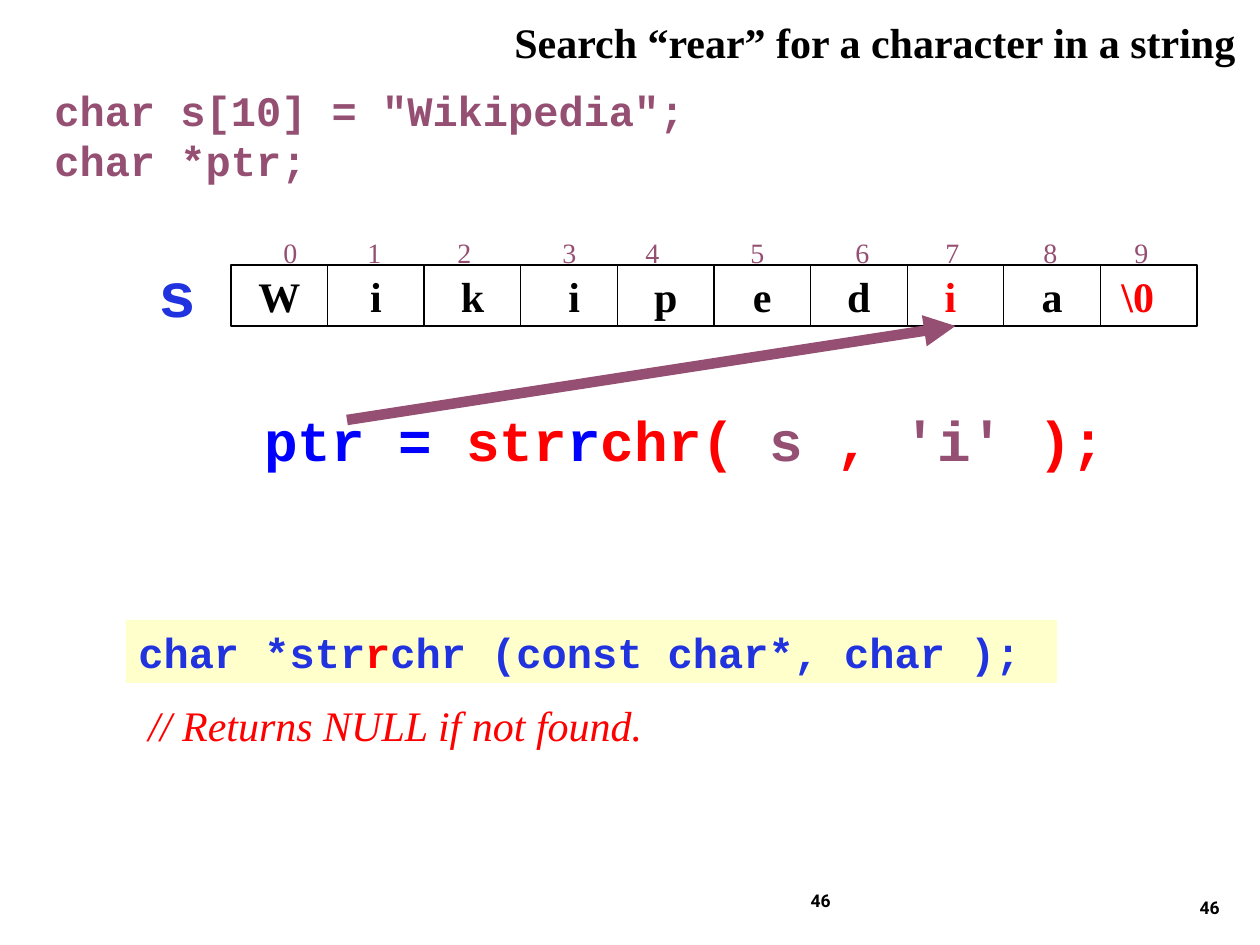
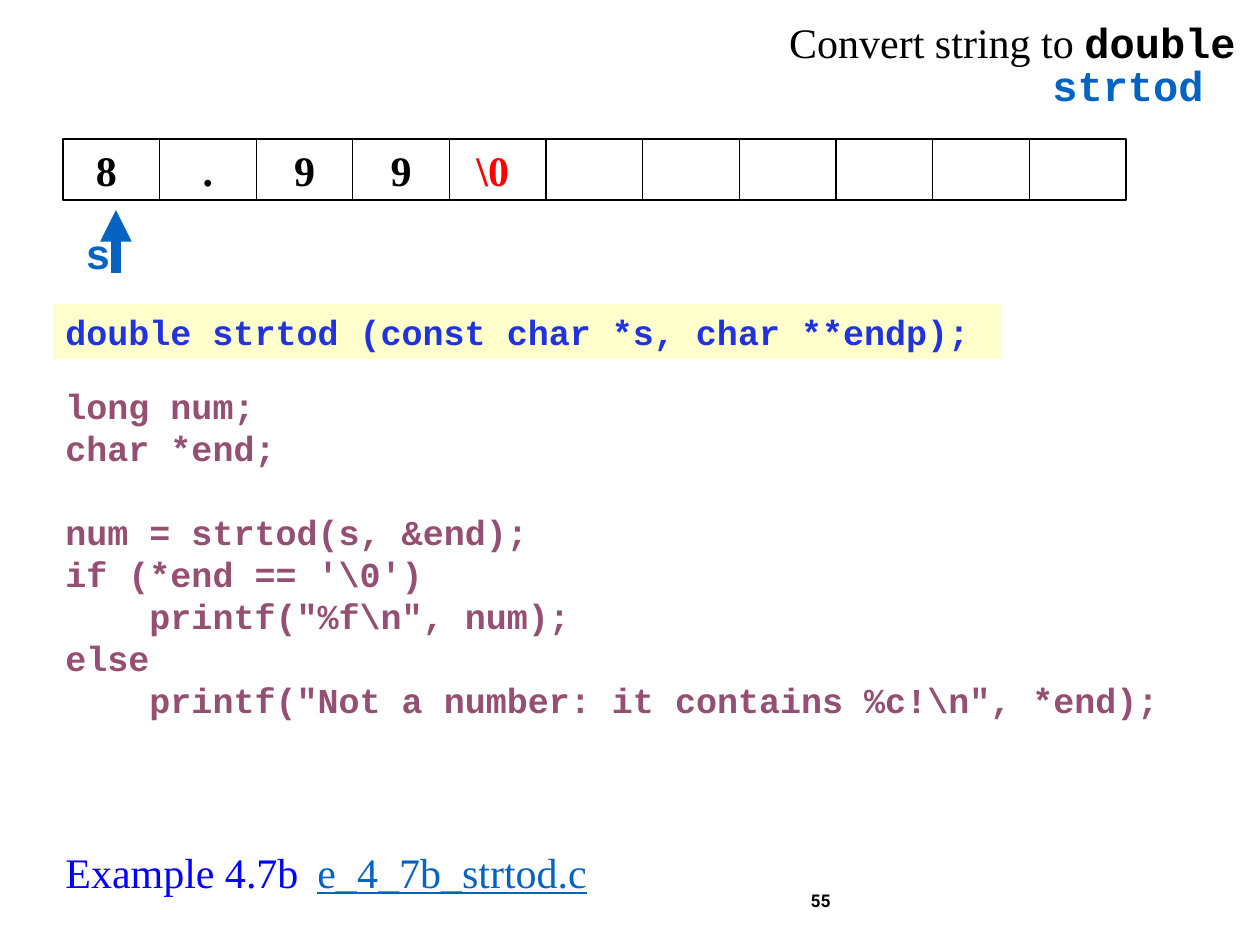
from dataclasses import dataclass
from typing import NamedTuple

from lxml import etree
from pptx import Presentation
from pptx.dml.color import RGBColor
from pptx.enum.shapes import MSO_CONNECTOR, MSO_SHAPE
from pptx.enum.text import MSO_ANCHOR, PP_ALIGN
from pptx.oxml.ns import qn
from pptx.util import Emu, Pt

EMU_PER_PX = 914400 / 126


def px(length: float) -> Emu:
    return Emu(round(length * EMU_PER_PX))


# Theme
@dataclass(frozen=True)
class Theme:
    serif: str = "Times New Roman"
    mono: str = "Courier New"
    footer: str = "Roboto"
    black: str = "000000"
    red: str = "FF0000"
    plum: str = "954F72"
    royal: str = "2133DF"
    blue: str = "0000FF"
    link: str = "0563C1"
    cream: str = "FFFFCC"
    tiny: int = 10
    label: int = 16
    code: int = 20
    body: int = 24
    call: int = 32
    large: int = 36


THEME = Theme()


# Descriptions of the repeated elements
class Box(NamedTuple):
    left: int
    top: int
    width: int
    height: int


@dataclass(frozen=True)
class Run:
    text: str
    color: str = THEME.black
    size: int = THEME.body
    font: str = THEME.serif
    bold: bool = False
    italic: bool = False
    underline: bool = False


class Cell(NamedTuple):
    text: str = ""
    color: str = THEME.black
    shift: int = 0


class Line(NamedTuple):
    runs: list[Run]
    space_before: int = 0


def code(text: str, color: str = THEME.plum, size: int = THEME.body) -> Run:
    return Run(text, color, size, THEME.mono, bold=True)


def set_all(target, values: dict) -> None:
    for name, value in values.items():
        setattr(target, name, value)


# Drawing
def write(frame, lines: list[Line], align=PP_ALIGN.LEFT, tabs: tuple = (), tab_align: str = "l") -> None:
    for index, line in enumerate(lines):
        paragraph = frame.add_paragraph() if index else frame.paragraphs[0]
        set_all(paragraph, {"alignment": align, "space_before": Pt(line.space_before)})
        if tabs:
            tab_list = etree.SubElement(paragraph._p.get_or_add_pPr(), qn("a:tabLst"))
            for position in tabs:
                etree.SubElement(tab_list, qn("a:tab"), pos=str(px(position)), algn=tab_align)
        for item in line.runs:
            run = paragraph.add_run()
            run.text = item.text
            set_all(run.font, {"name": item.font, "size": Pt(item.size), "bold": item.bold,
                               "italic": item.italic, "underline": item.underline})
            run.font.color.rgb = RGBColor.from_string(item.color)


def add_text(slide, box: Box, lines: list[Line], align=PP_ALIGN.LEFT, anchor=MSO_ANCHOR.TOP,
             tabs: tuple = (), tab_align: str = "l") -> None:
    frame = slide.shapes.add_textbox(*map(px, box)).text_frame
    set_all(frame, {"word_wrap": True, "vertical_anchor": anchor})
    write(frame, lines, align, tabs, tab_align)


def add_rectangle(slide, left: int, top: int, width: int, height: int):
    shape = slide.shapes.add_shape(MSO_SHAPE.RECTANGLE, left, top, width, height)
    shape.shadow.inherit = False
    return shape


def add_prototype(slide, box: Box, runs: list[Run]) -> None:
    shape = add_rectangle(slide, *map(px, box))
    shape.fill.solid()
    shape.fill.fore_color.rgb = RGBColor.from_string(THEME.cream)
    shape.line.fill.background()
    set_all(shape.text_frame, {"word_wrap": False, "vertical_anchor": MSO_ANCHOR.TOP})
    write(shape.text_frame, [Line(runs)])


def add_array(slide, box: Box, cells: list[Cell]) -> list:
    left, top, width, height = map(px, box)
    shapes = []
    for index, cell in enumerate(cells):
        start, end = (left + width * step // len(cells) for step in (index, index + 1))
        shape = add_rectangle(slide, start, top, end - start, height)
        shape.fill.background()
        shape.line.color.rgb = RGBColor.from_string(THEME.black)
        shape.line.width = Pt(0.75)
        if cell.text:
            set_all(shape.text_frame, {"vertical_anchor": MSO_ANCHOR.MIDDLE,
                                       "margin_left": px(max(0, 2 * cell.shift)),
                                       "margin_right": px(max(0, -2 * cell.shift))})
            write(shape.text_frame, [Line([Run(cell.text, cell.color, bold=True)])], PP_ALIGN.CENTER)
        shapes.append(shape)
    return shapes


def add_arrow(slide, start: tuple[int, int], end: tuple[int, int], color: str, target=None) -> None:
    arrow = slide.shapes.add_connector(MSO_CONNECTOR.STRAIGHT, *map(px, start + end))
    arrow.line.width = Pt(6)
    arrow.line.color.rgb = RGBColor.from_string(color)
    etree.SubElement(arrow.line._get_or_add_ln(), qn("a:tailEnd"), type="triangle")
    etree.SubElement(arrow._element.spPr, qn("a:effectLst"))
    if target is not None:
        arrow.end_connect(target, 2)


def add_page_number(slide, number: str, box: Box = Box(417, 876, 426, 50), anchor=MSO_ANCHOR.MIDDLE) -> None:
    run = Run(number, size=THEME.tiny, font=THEME.footer, bold=True)
    add_text(slide, box, [Line([run])], PP_ALIGN.RIGHT, anchor)


def add_slide(presentation, title: list[Run], number: str):
    slide = presentation.slides.add_slide(presentation.slide_layouts[6])
    add_text(slide, Box(480, 10, 768, 63), [Line(title)], PP_ALIGN.RIGHT)
    add_page_number(slide, number)
    return slide


# Slides
def build_search_slide(presentation) -> None:
    slide = add_slide(presentation, [Run("Search “rear” for a character in a string", bold=True)], "46")
    add_page_number(slide, "46", Box(970, 861, 262, 63), MSO_ANCHOR.BOTTOM)
    add_text(slide, Box(42, 78, 935, 113),
             [Line([code('char s[10] = "Wikipedia";')]), Line([code("char *ptr;")])])

    # String array with its indexes
    indexes = "".join(f"\t{index}" for index in range(10))
    add_text(slide, Box(231, 221, 966, 62), [Line([Run(indexes, THEME.plum, THEME.label)])],
             anchor=MSO_ANCHOR.MIDDLE, tabs=(47, 131, 221, 326, 409, 514, 619, 709, 807, 898),
             tab_align="ctr")
    cells = add_array(slide, Box(231, 265, 966, 61), [
        Cell("W"), Cell("i"), Cell("k"), Cell("i", shift=5), Cell("p"), Cell("e"), Cell("d"),
        Cell("i", THEME.red, -5), Cell("a"), Cell("\\0", THEME.red, -11)])
    add_text(slide, Box(146, 248, 63, 88), [Line([code("s", THEME.royal, THEME.large)])], PP_ALIGN.RIGHT)

    # Call and the character it finds
    call = [("ptr = ", THEME.blue), ("str", THEME.red), ("r", THEME.blue), ("chr( ", THEME.red),
            ("s ", THEME.plum), (",", THEME.red), (" 'i' ", THEME.plum), (");", THEME.red)]
    add_text(slide, Box(252, 399, 892, 130),
             [Line([code(text, color, THEME.call) for text, color in call])])
    add_prototype(slide, Box(126, 620, 931, 63), [
        code("char *str", THEME.royal), code("r", THEME.red),
        code("chr (const char*, char );", THEME.royal)])
    add_arrow(slide, (347, 420), (956, 326), THEME.plum, cells[7])
    add_text(slide, Box(136, 693, 519, 63),
             [Line([Run("// Returns NULL if not found.", THEME.red, italic=True)])])


def build_convert_slide(presentation) -> None:
    slide = add_slide(presentation, [Run("Convert string to "), code("double", THEME.black)], "55")
    add_text(slide, Box(1040, 53, 189, 63), [Line([code("strtod", THEME.link)])])

    # String array with its pointer
    add_array(slide, Box(63, 139, 1063, 61), [
        Cell("8", shift=-5), Cell("."), Cell("9"), Cell("9"), Cell("\\0", THEME.red, -5)] + [Cell()] * 6)
    add_arrow(slide, (116, 273), (116, 210), THEME.link)
    add_text(slide, Box(73, 221, 50, 63), [Line([code("s", THEME.link)])], PP_ALIGN.RIGHT)

    # Prototype and its use
    add_prototype(slide, Box(53, 304, 948, 55),
                  [code("double strtod (const char *s, char **endp);", THEME.royal, THEME.code)])
    declarations = ["long num;", "char *end;"]
    statements = ["num = strtod(s, &end);", "if (*end == '\\0')", '    printf("%f\\n", num);', "else",
                  '    printf("Not a number: it contains %c!\\n", *end);']
    add_text(slide, Box(53, 378, 1155, 349), [
        Line([code(text, size=THEME.code)], 24 if text == statements[0] else 0)
        for text in declarations + statements])
    add_text(slide, Box(53, 840, 714, 63), [
        Line([Run("Example 4.7b\t", THEME.blue),
              Run("e_4_7b_strtod.c", THEME.link, underline=True)])], tabs=(252,))


def main() -> None:
    presentation = Presentation()
    set_all(presentation, {"slide_width": px(1260), "slide_height": px(945)})
    build_search_slide(presentation)
    build_convert_slide(presentation)
    presentation.save("out.pptx")


if __name__ == "__main__":
    main()
